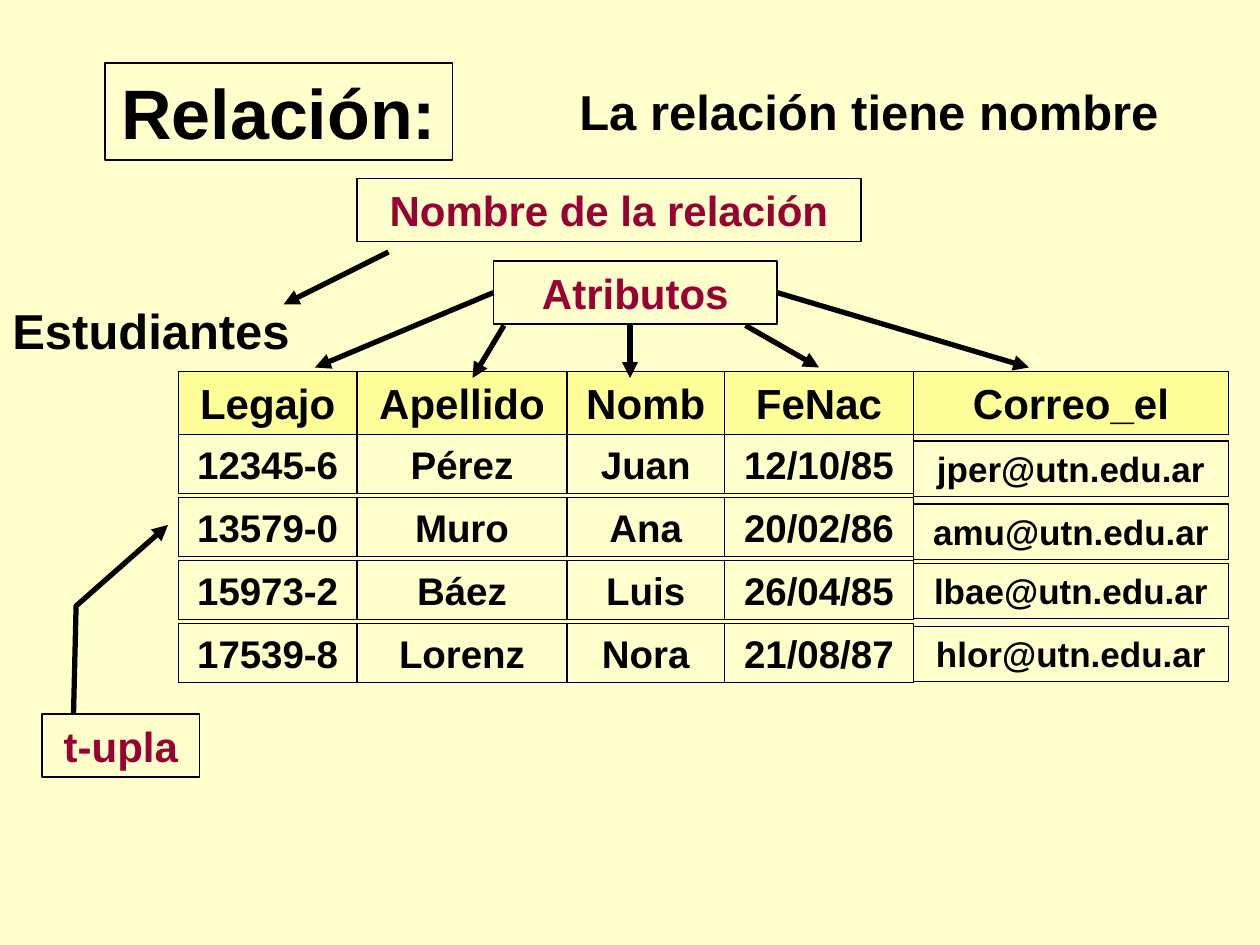
"""Build a slide that names the parts of a relation: name, attributes and tuples."""
import lxml.etree
import pptx
import pptx.dml.color
import pptx.enum.shapes
import pptx.enum.text
import pptx.oxml.ns
import pptx.util

Pt = pptx.util.Pt
Align = pptx.enum.text.PP_ALIGN
Kind = pptx.enum.shapes.MSO_SHAPE
black, wine, cream, lemon = "000000", "990033", "FFFFCC", "FFFF99"


def paint(fill, tone):
    fill.solid()
    fill.fore_color.rgb = pptx.dml.color.RGBColor.from_string(tone)


def dress(shape, place, text, size, tone=black, back=None, edge=True, align=Align.CENTER):
    for name, value in zip(("left", "top", "width", "height"), place):
        setattr(shape, name, Pt(value))
    if back:
        paint(shape.fill, back)
    else:
        shape.fill.background()
    if edge:
        paint(shape.line.fill, black)
        shape.line.width = Pt(0.75)
    shape.shadow.inherit = False
    frame = shape.text_frame
    look = {
        "word_wrap": True,
        "auto_size": pptx.enum.text.MSO_AUTO_SIZE.NONE,
        "vertical_anchor": pptx.enum.text.MSO_ANCHOR.TOP,
        "margin_left": Pt(7.2),
        "margin_right": Pt(7.2),
        "margin_top": Pt(3.6),
        "margin_bottom": Pt(3.6),
    }
    for name, value in look.items():
        setattr(frame, name, value)
    line = frame.paragraphs[0]
    line.alignment = align
    run = line.add_run()
    run.text = text
    for name, value in {"name": "Arial", "size": Pt(size), "bold": True}.items():
        setattr(run.font, name, value)
    paint(run.font.fill, tone)


deck = pptx.Presentation()
deck.slide_width, deck.slide_height = Pt(720), Pt(540)
slide = deck.slides.add_slide(deck.slide_layouts[5])
paint(slide.background.fill, cream)
shapes = slide.shapes

dress(shapes.title, (60, 36, 198.5, 55.4), "Relación:", 40)

heads = ["Legajo", "Apellido", "Nomb", "FeNac", "Correo_el"]
rows = [
    ["12345-6", "Pérez", "Juan", "12/10/85", "jper@utn.edu.ar"],
    ["13579-0", "Muro", "Ana", "20/02/86", "amu@utn.edu.ar"],
    ["15973-2", "Báez", "Luis", "26/04/85", "lbae@utn.edu.ar"],
    ["17539-8", "Lorenz", "Nora", "21/08/87", "hlor@utn.edu.ar"],
]
edges = [102, 204, 324, 414, 522, 702]
mail_tops = [252, 288, 322, 358]
for col, head in enumerate(heads):
    left, wide = edges[col], edges[col + 1] - edges[col]
    cell = shapes.add_shape(Kind.RECTANGLE, 0, 0, 0, 0)
    dress(cell, (left, 212.4, wide, 36), head, 24, back=lemon)
    for num, row in enumerate(rows):
        mail = head == "Correo_el"
        top, high, size = (mail_tops[num], 31.6, 20) if mail else (248.4 + 36 * num, 33.8, 22)
        cell = shapes.add_shape(Kind.RECTANGLE, 0, 0, 0, 0)
        dress(cell, (left, top, wide, high), row[col], size)

notes = [
    ("La relación tiene nombre", (324, 43.2, 354, 41)),
    ("Estudiantes", (0, 168, 192, 41)),
]
for text, place in notes:
    note = shapes.add_textbox(0, 0, 0, 0)
    dress(note, place, text, 28, edge=False, align=Align.LEFT)

tags = {
    "Nombre de la relación": (204, 102, 288, 36),
    "Atributos": (282, 149.2, 162, 36),
    "t-upla": (24, 408, 90, 36),
}
boxes = {}
for text, place in tags.items():
    boxes[text] = shapes.add_shape(Kind.RECTANGLE, 0, 0, 0, 0)
    dress(boxes[text], place, text, 24, tone=wine)

links = [
    (222, 144, 162, 174, None),
    (282, 167.2, 180, 210, 1),
    (288, 186, 270, 216, None),
    (360, 186, 360, 216, None),
    (426, 186, 468, 210, None),
    (444, 167.2, 588, 210, 3),
]
arrows = []
for *ends, side in links:
    link = shapes.add_connector(pptx.enum.shapes.MSO_CONNECTOR.STRAIGHT, *map(Pt, ends))
    if side is not None:
        link.begin_connect(boxes["Atributos"], side)
    arrows.append(link)

route = shapes.build_freeform(Pt(42), Pt(408))
route.add_line_segments([(Pt(43.5), Pt(346.3)), (Pt(96), Pt(300))], close=False)
bend = route.convert_to_shape()
bend.fill.background()
arrows.append(bend)

for arrow in arrows:
    paint(arrow.line.fill, black)
    arrow.line.width = Pt(3)
    props = arrow.element.spPr
    lxml.etree.SubElement(props.get_or_add_ln(), pptx.oxml.ns.qn("a:tailEnd"), type="triangle")
    lxml.etree.SubElement(props, pptx.oxml.ns.qn("a:effectLst"))

deck.save("out.pptx")
